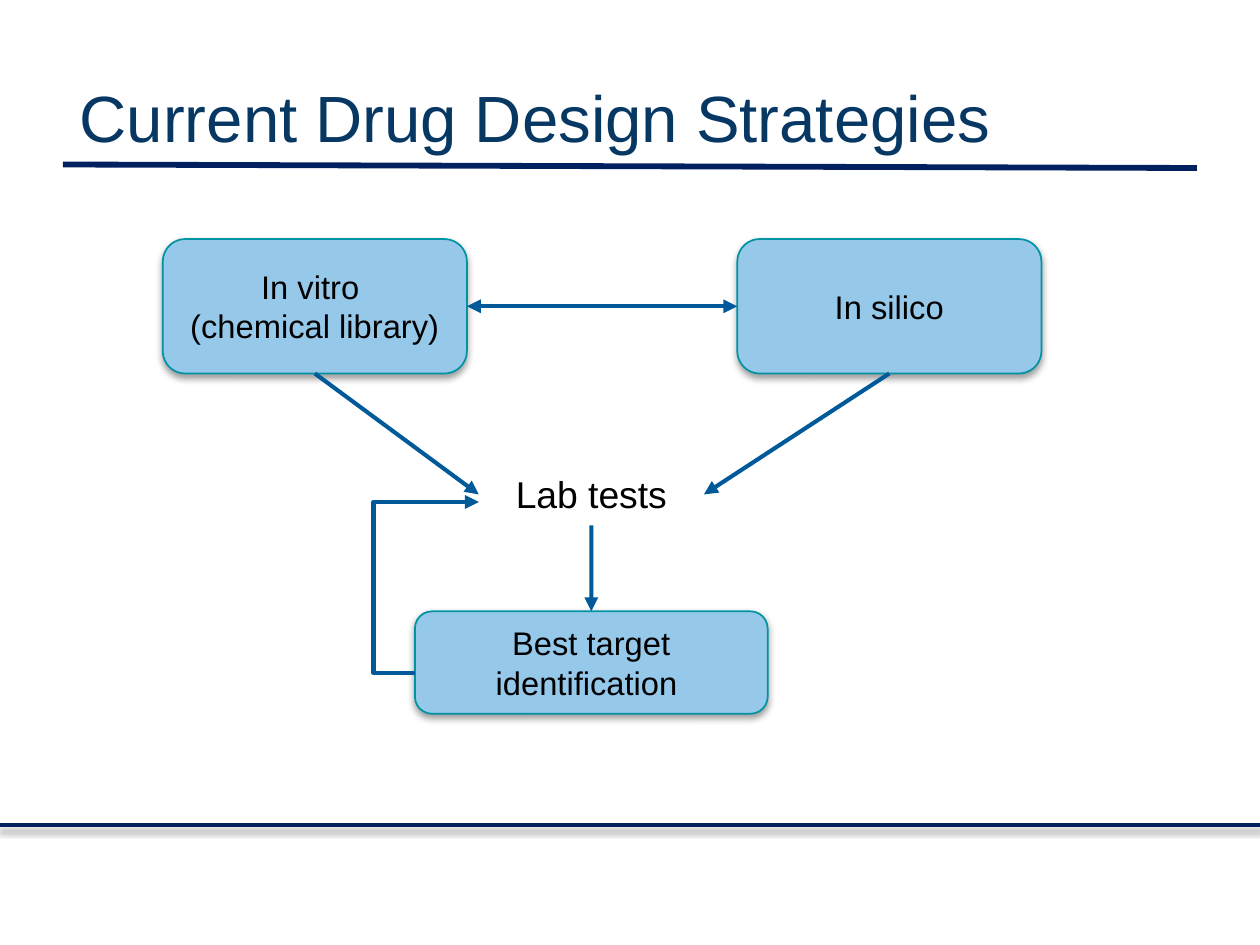
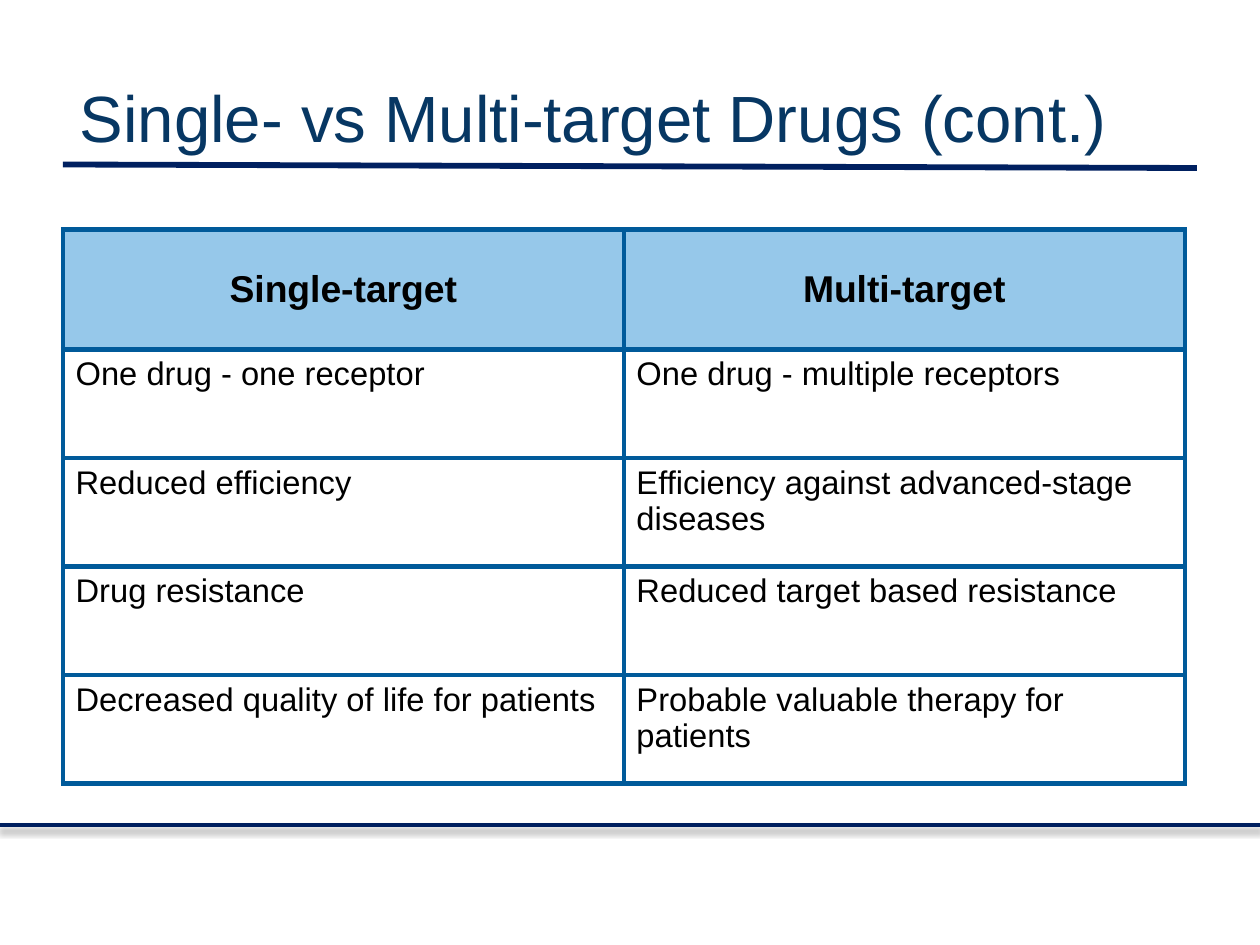
from lxml import etree
from pptx import Presentation
from pptx.dml.color import RGBColor
from pptx.enum.shapes import MSO_CONNECTOR, MSO_SHAPE
from pptx.enum.text import MSO_ANCHOR, MSO_AUTO_SIZE, PP_ALIGN
from pptx.oxml import parse_xml
from pptx.oxml.ns import nsdecls, qn
from pptx.util import Pt

STRAIGHT, ELBOW = MSO_CONNECTOR.STRAIGHT, MSO_CONNECTOR.ELBOW
ROUNDED = MSO_SHAPE.ROUNDED_RECTANGLE
MIDDLE, TOP = MSO_ANCHOR.MIDDLE, MSO_ANCHOR.TOP
LEFT, CENTER = PP_ALIGN.LEFT, PP_ALIGN.CENTER
NO_FIT, GROW = MSO_AUTO_SIZE.NONE, MSO_AUTO_SIZE.SHAPE_TO_FIT_TEXT
TOP_SITE, LEFT_SITE, BOTTOM_SITE, RIGHT_SITE = range(4)

TITLE_BLUE = RGBColor(0x07, 0x37, 0x63)
NAVY = RGBColor(0x00, 0x20, 0x60)
SKY = RGBColor(0x96, 0xC8, 0xEA)
TEAL = RGBColor(0x00, 0x94, 0xA3)
BLUE = RGBColor(0x00, 0x5A, 0x9A)
BLACK = RGBColor(0, 0, 0)
FONT = "Arial"
PAGE_WIDTH, PAGE_HEIGHT = 540, 405

SHADOW = (
    '<a:outerShdw blurRad="39370" dist="20320" dir="5400000" rotWithShape="0">'
    '<a:srgbClr val="000000"><a:alpha val="38000"/></a:srgbClr></a:outerShdw>'
)


def set_effects(shape, effect=""):
    shape._element.spPr.append(
        parse_xml(f"<a:effectLst {nsdecls('a')}>{effect}</a:effectLst>"))


def write(frame, lines, size, color=BLACK, align=CENTER, bold=False):
    frame.text = "\n".join(lines)
    for para in frame.paragraphs:
        para.alignment = align
        font = para.font
        font.name, font.size, font.bold = FONT, Pt(size), bold
        font.color.rgb = color


def add_line(page, start, end, color, width, effect="", kind=STRAIGHT):
    line = page.shapes.add_connector(kind, *map(Pt, start + end))
    line.line.color.rgb = color
    line.line.width = Pt(width)
    set_effects(line, effect)
    return line


def add_arrow(page, start, end, ends=("tailEnd",), kind=STRAIGHT):
    arrow = add_line(page, start, end, BLUE, 1.75, kind=kind)
    outline = arrow.line._get_or_add_ln()
    for name in ends:
        etree.SubElement(outline, qn(f"a:{name}"), type="triangle")
    return arrow


def link(page, source, source_site, target, target_site, ends=("tailEnd",)):
    arrow = add_arrow(page, (0, 0), (0, 0), ends)
    arrow.begin_connect(source, source_site)
    arrow.end_connect(target, target_site)


def set_bend(arrow, share):
    geometry = arrow._element.spPr.find(qn("a:prstGeom"))
    guides = geometry.find(qn("a:avLst"))
    etree.SubElement(guides, qn("a:gd"), name="adj1",
                     fmla=f"val {round(share * 100000)}")


def add_box(page, lines, left, top, width, height):
    box = page.shapes.add_shape(ROUNDED, Pt(left), Pt(top), Pt(width), Pt(height))
    box.fill.solid()
    box.fill.fore_color.rgb = SKY
    box.line.color.rgb = TEAL
    box.line.width = Pt(0.75)
    set_effects(box, SHADOW)
    box.text_frame.vertical_anchor = MIDDLE
    write(box.text_frame, lines, 14)
    return box


def add_label(page, text, left, top, width, height):
    label = page.shapes.add_textbox(Pt(left), Pt(top), Pt(width), Pt(height))
    label.text_frame.word_wrap = True
    label.text_frame.auto_size = GROW
    write(label.text_frame, [text], 16)
    return label


def add_page(deck, text, title_width):
    page = deck.slides.add_slide(deck.slide_layouts[5])
    title = page.shapes.title
    title.left, title.top = Pt(27), Pt(16.2)
    title.width, title.height = Pt(title_width), Pt(67.5)
    frame = title.text_frame
    write(frame, [text], 28, TITLE_BLUE, LEFT)
    frame.word_wrap = True
    frame.auto_size = NO_FIT
    frame.vertical_anchor = MIDDLE
    frame.margin_left = frame.margin_right = Pt(7.2)
    frame.margin_top = frame.margin_bottom = Pt(7.2)
    add_line(page, (0, 353.6), (PAGE_WIDTH, 353.6), NAVY, 2, SHADOW)
    add_line(page, (27, 70.5), (513, 72), NAVY, 2.5)
    return page


def set_borders(cell):
    properties = cell._tc.get_or_add_tcPr()
    for index, side in enumerate("LRTB"):
        properties.insert(index, parse_xml(
            f'<a:ln{side} {nsdecls("a")} w="{Pt(2.25)}"><a:solidFill>'
            f'<a:srgbClr val="{BLUE}"/></a:solidFill></a:ln{side}>'))


def add_grid(page, rows, left, top, column_width, header_height, row_height):
    columns = len(rows[0])
    height = header_height + row_height * (len(rows) - 1)
    table = page.shapes.add_table(
        len(rows), columns, Pt(left), Pt(top),
        Pt(column_width * columns), Pt(height)).table
    table.horz_banding = False
    for column in table.columns:
        column.width = Pt(column_width)
    for r, texts in enumerate(rows):
        header = r == 0
        table.rows[r].height = Pt(header_height if header else row_height)
        for c, text in enumerate(texts):
            cell = table.cell(r, c)
            cell.margin_left = cell.margin_right = Pt(5.4)
            cell.margin_top = cell.margin_bottom = Pt(2.7)
            cell.vertical_anchor = MIDDLE if header else TOP
            if header:
                cell.fill.solid()
                cell.fill.fore_color.rgb = SKY
                write(cell.text_frame, [text], 16, bold=True)
            else:
                cell.fill.background()
                write(cell.text_frame, [text], 14, align=LEFT)
            set_borders(cell)


def add_strategies(deck):
    page = add_page(deck, "Current Drug Design Strategies", 486)
    vitro = add_box(page, ["In vitro ", "(chemical library)"], 69.8, 102.5, 130.3, 57.6)
    silico = add_box(page, ["In silico"], 316, 102.5, 130.3, 57.6)
    tests = add_label(page, "Lab tests", 205.2, 198.6, 96.5, 26.6)
    target = add_box(page, ["Best target identification "], 177.84, 262, 151.2, 43.9)
    link(page, vitro, RIGHT_SITE, silico, LEFT_SITE, ("headEnd", "tailEnd"))
    link(page, vitro, BOTTOM_SITE, tests, LEFT_SITE)
    link(page, silico, BOTTOM_SITE, tests, RIGHT_SITE)
    link(page, tests, BOTTOM_SITE, target, TOP_SITE)
    retry = add_arrow(page, (177.84, 288.5), (205.2, 215.2), kind=ELBOW)
    set_bend(retry, -0.65)


def add_comparison(deck):
    page = add_page(deck, "Single- vs Multi-target Drugs (cont.)", 496.8)
    rows = [
        ("Single-target", "Multi-target"),
        ("One drug - one receptor", "One drug - multiple receptors"),
        ("Reduced efficiency", "Efficiency against advanced-stage diseases"),
        ("Drug resistance", "Reduced target based resistance"),
        ("Decreased quality of life for patients",
         "Probable valuable therapy for patients"),
    ]
    add_grid(page, rows, 27, 98.4, 240.4, 51.5, 46.5)


def main():
    deck = Presentation()
    deck.slide_width, deck.slide_height = Pt(PAGE_WIDTH), Pt(PAGE_HEIGHT)
    add_strategies(deck)
    add_comparison(deck)
    deck.save("out.pptx")


main()
